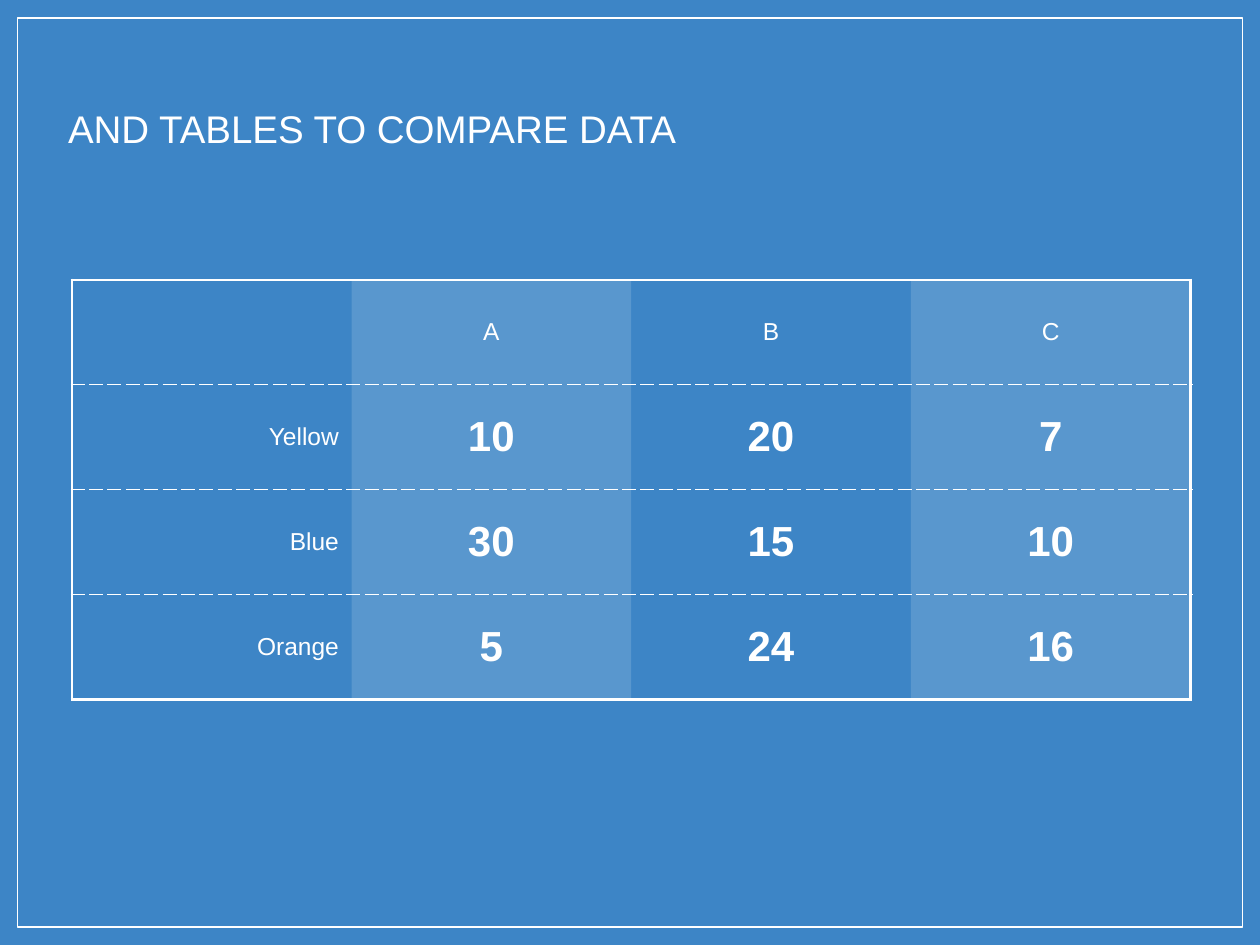
"""Build a slide that compares data in a bordered table."""
from dataclasses import dataclass

from lxml import etree
from pptx import Presentation
from pptx.dml.color import RGBColor
from pptx.enum import shapes, text
from pptx.oxml import ns
from pptx import util as u


@dataclass(frozen=True)
class Theme:
    """Colours, type sizes and line widths of the slide."""
    background: str = "3D85C6"
    ink: str = "FFFFFF"
    font: str = "Arial"
    title_size: float = 22
    label_size: float = 14
    value_size: float = 24
    thin: float = 0.75
    thick: float = 1.5
    stripe_alpha: int = 15000


THEME = Theme()
WIDTH, HEIGHT = u.Inches(10), u.Inches(7.5)
INSET = u.Inches(0.1)
MARGINS = dict.fromkeys(
    ("margin_left", "margin_top", "margin_right", "margin_bottom"), INSET)
HEADINGS = ("", "A", "B", "C")
RECORDS = (
    ("Yellow", 10, 20, 7),
    ("Blue", 30, 15, 10),
    ("Orange", 5, 24, 16),
)


def apply(target, formats):
    """Set each format value on the target."""
    for name, value in formats.items():
        setattr(target, name, value)


def share(left, top, width, height):
    """Turn shares of the slide's size into lengths."""
    return (u.Emu(int(WIDTH * left)), u.Emu(int(HEIGHT * top)),
            u.Emu(int(WIDTH * width)), u.Emu(int(HEIGHT * height)))


def write(frame, words, size, align, bold=False):
    """Write one formatted paragraph into a text frame."""
    paragraph = frame.paragraphs[0]
    paragraph.alignment = align
    run = paragraph.add_run()
    run.text = words
    apply(run.font, {"name": THEME.font, "size": u.Pt(size), "bold": bold})
    run.font.color.rgb = RGBColor.from_string(THEME.ink)


def add_frame(slide):
    """Draw the thin outline around the slide."""
    outline = slide.shapes.add_shape(
        shapes.MSO_SHAPE.RECTANGLE, *share(0.014, 0.019, 0.972, 0.962))
    outline.shadow.inherit = False
    outline.fill.background()
    outline.line.width = u.Pt(THEME.thin)
    outline.line.color.rgb = RGBColor.from_string(THEME.ink)


def add_title(slide, words):
    """Place and format the title placeholder."""
    title = slide.shapes.title
    places = ("left", "top", "width", "height")
    apply(title, dict(zip(places, share(0.044, 0.096, 0.9, 0.08))))
    apply(title.text_frame, {
        **MARGINS,
        "word_wrap": True,
        "auto_size": text.MSO_AUTO_SIZE.NONE,
        "vertical_anchor": text.MSO_ANCHOR.MIDDLE,
    })
    write(title.text_frame, words, THEME.title_size, text.PP_ALIGN.LEFT)


def shade(cell, striped):
    """Give a cell a translucent stripe or no fill."""
    if not striped:
        cell.fill.background()
        return
    cell.fill.solid()
    cell.fill.fore_color.rgb = RGBColor.from_string(THEME.ink)
    colour = cell._tc.tcPr.find(".//" + ns.qn("a:srgbClr"))
    etree.SubElement(colour, ns.qn("a:alpha"), val=str(THEME.stripe_alpha))


def add_border(cell, position, side, width, dash):
    """Add one border line, or an invisible one when width is zero."""
    line = etree.Element(ns.qn(f"a:ln{side}"), w=str(u.Pt(width)))
    cell._tc.tcPr.insert(position, line)
    if not width:
        etree.SubElement(line, ns.qn("a:noFill"))
        return
    fill = etree.SubElement(line, ns.qn("a:solidFill"))
    etree.SubElement(fill, ns.qn("a:srgbClr"), val=THEME.ink)
    etree.SubElement(line, ns.qn("a:prstDash"), val=dash)


def add_borders(cell, row, column, last_row, last_column):
    """Frame the table solidly and part its rows with dashes."""
    edges = {"L": column == 0, "R": column == last_column,
             "T": row == 0, "B": row == last_row}
    for position, (side, outer) in enumerate(edges.items()):
        if outer:
            add_border(cell, position, side, THEME.thick, "solid")
        else:
            width = THEME.thin if side in "TB" else 0
            add_border(cell, position, side, width, "dash")


def add_comparison(slide, rows):
    """Add the table of headings and records."""
    row_count, column_count = len(rows), len(rows[0])
    table = slide.shapes.add_table(
        row_count, column_count,
        *share(0.057, 0.296, 0.222 * column_count, row_count / 9)).table
    apply(table, {"first_row": False, "horz_banding": False})
    for row, entries in enumerate(rows):
        for column, entry in enumerate(entries):
            cell = table.cell(row, column)
            apply(cell, {**MARGINS, "vertical_anchor": text.MSO_ANCHOR.MIDDLE})
            shade(cell, column % 2 == 1)
            add_borders(cell, row, column, row_count - 1, column_count - 1)
            is_value = row > 0 and column > 0
            write(cell.text_frame, str(entry),
                  THEME.value_size if is_value else THEME.label_size,
                  text.PP_ALIGN.CENTER if column else text.PP_ALIGN.RIGHT,
                  is_value)


def main():
    """Build and save the slide."""
    deck = Presentation()
    apply(deck, {"slide_width": WIDTH, "slide_height": HEIGHT})
    slide = deck.slides.add_slide(deck.slide_layouts.get_by_name("Title Only"))
    slide.background.fill.solid()
    slide.background.fill.fore_color.rgb = RGBColor.from_string(THEME.background)
    add_frame(slide)
    add_title(slide, "AND TABLES TO COMPARE DATA")
    add_comparison(slide, (HEADINGS, *RECORDS))
    deck.save("out.pptx")


if __name__ == "__main__":
    main()
